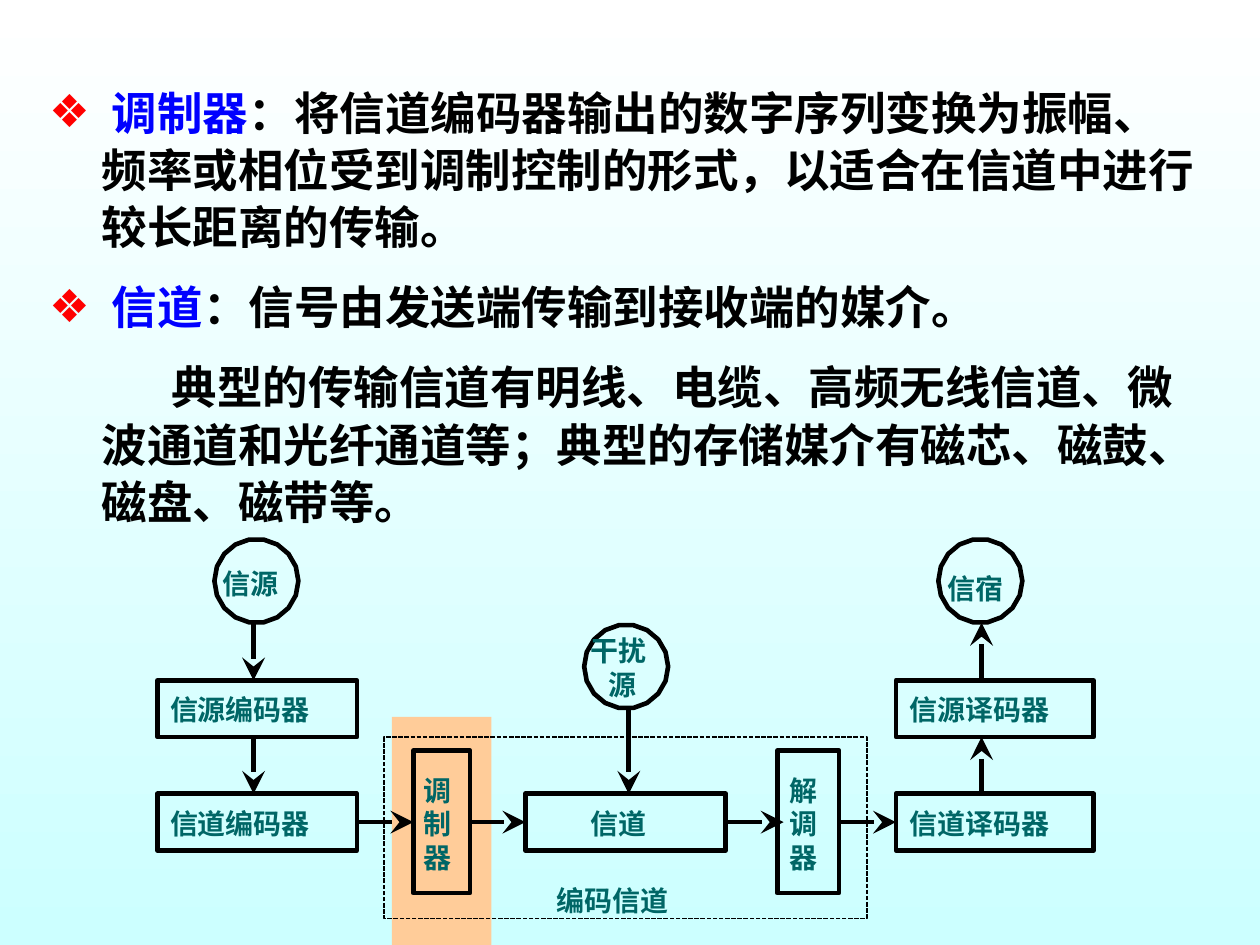
from math import cos, radians, sin

from lxml import etree
from pptx import Presentation
from pptx.dml.color import RGBColor
from pptx.enum.dml import MSO_LINE
from pptx.enum.shapes import MSO_CONNECTOR, MSO_SHAPE
from pptx.enum.text import MSO_ANCHOR, MSO_AUTO_SIZE
from pptx.oxml.ns import qn
from pptx.util import Pt

RECTANGLE = MSO_SHAPE.RECTANGLE
STRAIGHT = MSO_CONNECTOR.STRAIGHT
DASH = MSO_LINE.SQUARE_DOT
TOP = MSO_ANCHOR.TOP
NO_FIT = MSO_AUTO_SIZE.NONE
GROW = MSO_AUTO_SIZE.SHAPE_TO_FIT_TEXT

BLACK = RGBColor(0x00, 0x00, 0x00)
BLUE = RGBColor(0x00, 0x00, 0xFF)
RED = RGBColor(0xFF, 0x00, 0x00)
TEAL = RGBColor(0x00, 0x66, 0x66)
ORANGE = RGBColor(0xFF, 0xCC, 0x99)
WHITE = RGBColor(0xFF, 0xFF, 0xFF)
PALE_CYAN = RGBColor(0xCC, 0xFF, 0xFF)

LINE_WIDTH = 2.64
RADIUS = 24
SIDES = 18
BOX_HEIGHT = 32.4
ENCODER_TOP, CHANNEL_TOP = 388.8, 453.6
FLOW_Y = CHANNEL_TOP + BOX_HEIGHT / 2


def outline(shape, width=LINE_WIDTH):
    shape.shadow.inherit = False
    shape.fill.background()
    shape.line.color.rgb = BLACK
    shape.line.width = Pt(width)


def add_span(para, text, font, size, color):
    span = para.add_run()
    span.text = text
    span.font.name = font
    span.font.size = Pt(size)
    span.font.bold = True
    span.font.color.rgb = color


deck = Presentation()
deck.slide_width, deck.slide_height = Pt(720), Pt(540)
page = deck.slides.add_slide(deck.slide_layouts[1])
title = page.shapes.title
title.element.getparent().remove(title.element)

backdrop = page.background.fill
backdrop.gradient()
backdrop.gradient_angle = 270
for stop, color in zip(backdrop.gradient_stops, (WHITE, PALE_CYAN)):
    stop.color.rgb = color

highlight = page.shapes.add_shape(RECTANGLE, Pt(224), Pt(409.7), Pt(56.9), Pt(130.3))
highlight.shadow.inherit = False
highlight.fill.solid()
highlight.fill.fore_color.rgb = ORANGE
highlight.line.fill.background()

body = page.placeholders[1]
body.left, body.top, body.width, body.height = Pt(5.8), Pt(43.2), Pt(689.8), Pt(473)
frame = body.text_frame
frame.word_wrap = True
frame.auto_size = NO_FIT
frame.vertical_anchor = TOP

definitions = [
    (" 调制器", "：将信道编码器输出的数字序列变换为振幅、频率或相位受到调制控制的形式，以适合在信道中进行较长距离的传输。"),
    (" 信道", "：信号由发送端传输到接收端的媒介。"),
    (None, "典型的传输信道有明线、电缆、高频无线信道、微波通道和光纤通道等；典型的存储媒介有磁芯、磁鼓、磁盘、磁带等。"),
]
for index, (term, text) in enumerate(definitions):
    para = frame.paragraphs[0] if index == 0 else frame.add_paragraph()
    props = para._p.get_or_add_pPr()
    props.set("marL", str(Pt(45)))
    props.set("indent", str(Pt(-30 if term else 40)))
    if term:
        bullet_color = etree.SubElement(props, qn("a:buClr"))
        etree.SubElement(bullet_color, qn("a:srgbClr"), val=str(RED))
        etree.SubElement(props, qn("a:buChar"), char="❖")
        add_span(para, term, "Karla", 26, BLUE)
    else:
        etree.SubElement(props, qn("a:buNone"))
    para.line_spacing = 1.05
    para.space_before = Pt(13 if index else 0)
    add_span(para, text, "Karla", 26, BLACK)

coded_channel = page.shapes.add_shape(RECTANGLE, Pt(219.6), Pt(421.2), Pt(275.8), Pt(103.7))
outline(coded_channel, 0.88)
coded_channel.line.dash_style = DASH

blocks = [
    (90, ENCODER_TOP, 114, BOX_HEIGHT),
    (90, CHANNEL_TOP, 114, BOX_HEIGHT),
    (236.2, 429, 32.4, 81.4),
    (300.2, CHANNEL_TOP, 114.5, BOX_HEIGHT),
    (444.2, 429, 35.3, 81.4),
    (512, ENCODER_TOP, 113, BOX_HEIGHT),
    (512, CHANNEL_TOP, 113, BOX_HEIGHT),
]
for block in blocks:
    outline(page.shapes.add_shape(RECTANGLE, *map(Pt, block)))

for center_x, center_y in [(146.5, 332), (560.2, 332), (357.8, 380.9)]:
    corners = []
    for side in range(SIDES):
        angle = radians(180 + side * 360 / SIDES)
        corners.append((Pt(center_x + RADIUS * cos(angle)), Pt(center_y + RADIUS * sin(angle))))
    builder = page.shapes.build_freeform(*corners[0], scale=1.0)
    builder.add_line_segments(corners[1:], close=True)
    outline(builder.convert_to_shape())

arrows = [
    (144.9, 355.9, 144.9, ENCODER_TOP),
    (144.9, 421.2, 144.9, CHANNEL_TOP),
    (204, FLOW_Y, 236.2, FLOW_Y),
    (268.6, FLOW_Y, 300.2, FLOW_Y),
    (414.7, FLOW_Y, 447.8, FLOW_Y),
    (479.5, FLOW_Y, 512, FLOW_Y),
    (560.9, CHANNEL_TOP, 560.9, 421.2),
    (560.9, ENCODER_TOP, 560.9, 355.9),
    (359.3, 404.8, 359.3, CHANNEL_TOP),
]
for ends in arrows:
    arrow = page.shapes.add_connector(STRAIGHT, *map(Pt, ends))
    arrow.line.color.rgb = BLACK
    arrow.line.width = Pt(LINE_WIDTH)
    props = arrow._element.spPr
    etree.SubElement(props.find(qn("a:ln")), qn("a:tailEnd"), type="stealth", w="lg", len="lg")
    etree.SubElement(props, qn("a:effectLst"))

labels = [
    (127.4, 324, "信源"),
    (97.2, 396, "信源编码器"),
    (97.2, 460.8, "信道编码器"),
    (337.7, 460.8, "信道"),
    (541.4, 326.9, "信宿"),
    (519.8, 396, "信源译码器"),
    (519.8, 460.8, "信道译码器"),
    (337.7, 362.2, "干扰"),
    (347.8, 381.6, "源"),
    (318.2, 504.7, "编码信道"),
]
for left, word in [(241.9, "调制器"), (451.4, "解调器")]:
    for row, letter in enumerate(word):
        labels.append((left, 441.8 + 19.3 * row, letter))
for left, top, text in labels:
    box = page.shapes.add_textbox(Pt(left), Pt(top), Pt(16 * len(text)), Pt(19.4))
    frame = box.text_frame
    frame.margin_left = frame.margin_right = frame.margin_top = frame.margin_bottom = 0
    frame.word_wrap = False
    frame.auto_size = GROW
    add_span(frame.paragraphs[0], text, "Noto Sans CJK SC", 16, TEAL)

deck.save("out.pptx")
